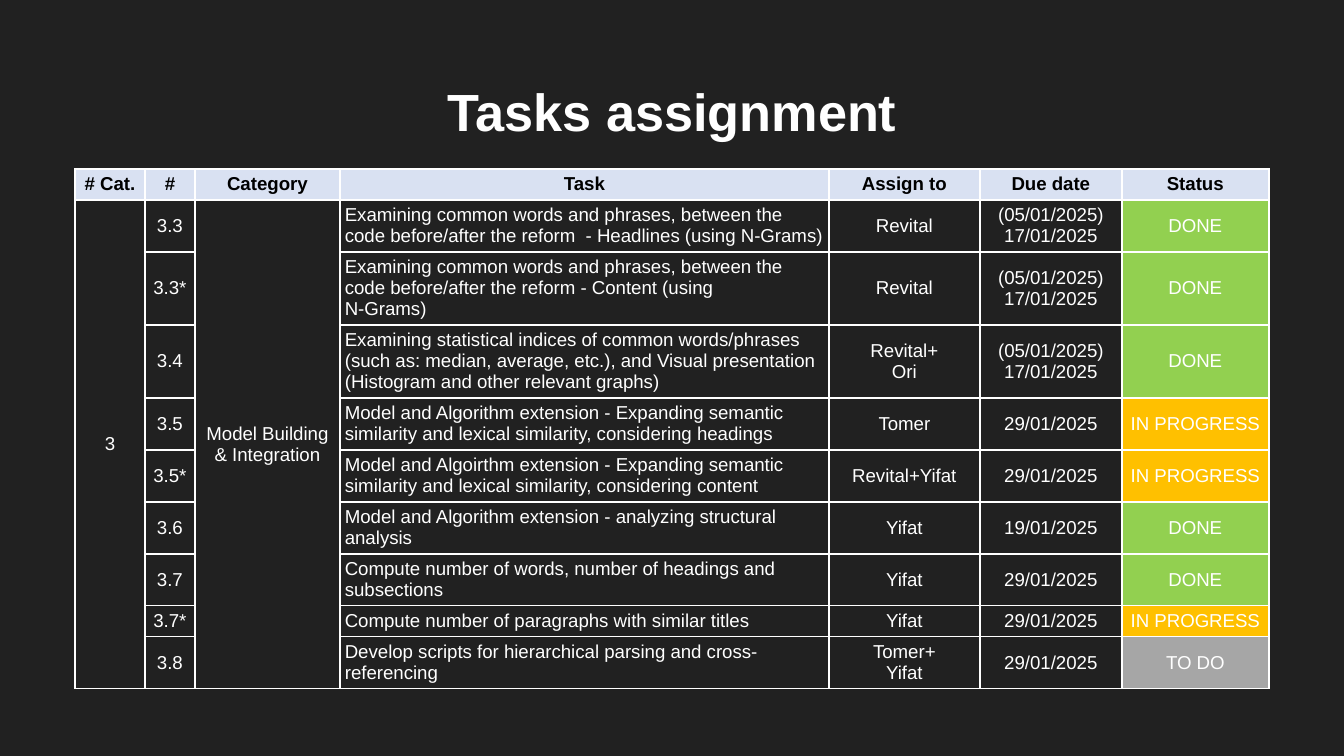
from dataclasses import dataclass

from lxml.etree import SubElement
from pptx import Presentation
from pptx.dml.color import RGBColor
from pptx.enum.text import MSO_ANCHOR, MSO_AUTO_SIZE, PP_ALIGN
from pptx.oxml.ns import qn
from pptx.util import Emu, Pt


@dataclass(frozen=True)
class Theme:
    font: str = "Arial"
    background: str = "212121"
    text: str = "FFFFFF"
    header_text: str = "000000"
    header_fill: str = "D9E1F2"
    border: str = "FFFFFF"
    border_width: int = 1
    title_size: int = 28
    table_size: int = 10


THEME = Theme()
STATUS_FILLS = {"DONE": "92D050", "IN PROGRESS": "FFC000", "TO DO": "A6A6A6"}

TITLE = "Tasks assignment"
HEADERS = ["# Cat.", "#", "Category", "Task", "Assign to", "Due date", "Status"]
CATEGORY_NUMBER = "3"
CATEGORY = "Model Building & Integration"
MOVED_DATE = ["(05/01/2025)", "17/01/2025"]
LATE_DATE = ["29/01/2025"]
TASKS = [
    ("3.3", "Examining common words and phrases, between the code before/after "
     "the reform  - Headlines (using N-Grams)", "Revital", MOVED_DATE, "DONE", 2),
    ("3.3*", "Examining common words and phrases, between the code before/after "
     "the reform - Content (using\nN-Grams)", "Revital", MOVED_DATE, "DONE", 3),
    ("3.4", "Examining statistical indices of common words/phrases (such as: median, "
     "average, etc.), and Visual presentation (Histogram and other relevant graphs)",
     "Revital+\nOri", MOVED_DATE, "DONE", 3),
    ("3.5", "Model and Algorithm extension - Expanding semantic similarity and lexical "
     "similarity, considering headings", "Tomer", LATE_DATE, "IN PROGRESS", 2),
    ("3.5*", "Model and Algoirthm extension - Expanding semantic similarity and lexical "
     "similarity, considering content", "Revital+Yifat", LATE_DATE, "IN PROGRESS", 2),
    ("3.6", "Model and Algorithm extension - analyzing structural analysis",
     "Yifat", ["19/01/2025"], "DONE", 2),
    ("3.7", "Compute number of words, number of headings and subsections",
     "Yifat", LATE_DATE, "DONE", 2),
    ("3.7*", "Compute number of paragraphs with similar titles",
     "Yifat", LATE_DATE, "IN PROGRESS", 1),
    ("3.8", "Develop scripts for hierarchical parsing and cross-referencing",
     "Tomer+\nYifat", LATE_DATE, "TO DO", 2),
]

SLIDE_SIZE = (1344, 756)
TITLE_BOX = (46, 66, 1252, 85)
TABLE_CORNER = (75, 169)
COLUMN_WIDTHS = [70, 50, 145, 489, 151, 142, 147]
CELL_MARGIN = 5
LINE_HEIGHT = 21


def px(length):
    return Emu(round(length * 914400 / 134.4))


def rgb(color):
    return RGBColor.from_string(color)


def write(frame, paragraphs, size, color, bold, align):
    for index, text in enumerate(paragraphs):
        para = frame.paragraphs[0] if index == 0 else frame.add_paragraph()
        para.alignment = align
        for line_index, line in enumerate(text.split("\n")):
            if line_index:
                para.add_line_break()
            span = para.add_run()
            span.text = line
            span.font.name = THEME.font
            span.font.size = Pt(size)
            span.font.bold = bold
            span.font.color.rgb = rgb(color)


def draw_borders(cell):
    properties = cell._tc.get_or_add_tcPr()
    for side in ("a:lnL", "a:lnR", "a:lnT", "a:lnB"):
        line = SubElement(properties, qn(side), w=str(Pt(THEME.border_width)))
        fill = SubElement(line, qn("a:solidFill"))
        SubElement(fill, qn("a:srgbClr"), val=THEME.border)


def format_cell(cell, fill):
    draw_borders(cell)
    cell.margin_left = cell.margin_right = px(CELL_MARGIN)
    cell.margin_top = cell.margin_bottom = px(CELL_MARGIN)
    if fill:
        cell.fill.solid()
        cell.fill.fore_color.rgb = rgb(fill)
    else:
        cell.fill.background()


def add_title(page):
    box = page.shapes.title
    box.left, box.top, box.width, box.height = map(px, TITLE_BOX)
    frame = box.text_frame
    frame.auto_size = MSO_AUTO_SIZE.NONE
    frame.word_wrap = True
    frame.vertical_anchor = MSO_ANCHOR.TOP
    frame.margin_left = frame.margin_right = px(13)
    frame.margin_top = frame.margin_bottom = px(13)
    write(frame, [TITLE], THEME.title_size, THEME.text, True, PP_ALIGN.CENTER)


def add_task_table(page):
    line_counts = [1] + [task[-1] for task in TASKS]
    heights = [count * LINE_HEIGHT + 2 * CELL_MARGIN for count in line_counts]
    left, top = TABLE_CORNER
    table = page.shapes.add_table(
        len(heights), len(HEADERS), px(left), px(top),
        px(sum(COLUMN_WIDTHS)), px(sum(heights))).table
    table.horz_banding = False
    table.first_row = False
    for column, width in zip(table.columns, COLUMN_WIDTHS):
        column.width = px(width)
    for row, height in zip(table.rows, heights):
        row.height = px(height)

    for column, header in enumerate(HEADERS):
        cell = table.cell(0, column)
        format_cell(cell, THEME.header_fill)
        write(cell.text_frame, [header], THEME.table_size,
              THEME.header_text, True, PP_ALIGN.CENTER)

    for row, (number, task, owner, dates, status, _) in enumerate(TASKS, start=1):
        first = row == 1
        values = [[CATEGORY_NUMBER] if first else [], [number],
                  [CATEGORY] if first else [], [task], [owner], dates, [status]]
        for column, (header, paragraphs) in enumerate(zip(HEADERS, values)):
            cell = table.cell(row, column)
            is_task = header == "Task"
            format_cell(cell, STATUS_FILLS[status] if header == "Status" else None)
            cell.vertical_anchor = MSO_ANCHOR.TOP if is_task else MSO_ANCHOR.MIDDLE
            write(cell.text_frame, paragraphs, THEME.table_size, THEME.text, False,
                  PP_ALIGN.LEFT if is_task else PP_ALIGN.CENTER)

    for header in ("# Cat.", "Category"):
        column = HEADERS.index(header)
        table.cell(1, column).merge(table.cell(len(TASKS), column))


def main():
    deck = Presentation()
    deck.slide_width, deck.slide_height = map(px, SLIDE_SIZE)
    page = deck.slides.add_slide(deck.slide_layouts[5])
    page.background.fill.solid()
    page.background.fill.fore_color.rgb = rgb(THEME.background)
    add_title(page)
    add_task_table(page)
    deck.save("out.pptx")


if __name__ == "__main__":
    main()
